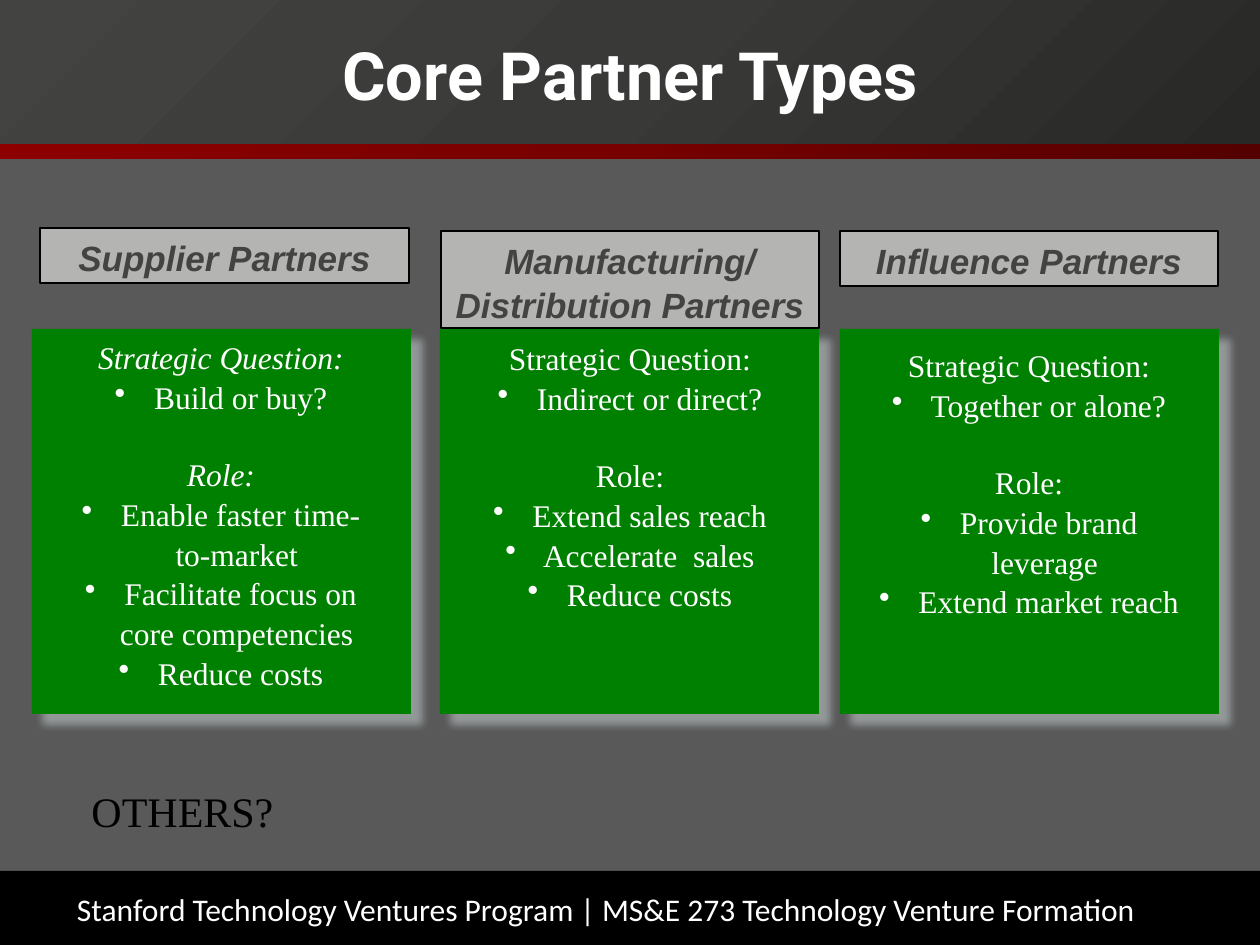
from lxml.etree import SubElement as Sub
from pptx import Presentation
from pptx.dml.color import RGBColor as Rgb
from pptx.enum.shapes import MSO_SHAPE as Shp
from pptx.enum.text import MSO_ANCHOR as Anc, PP_ALIGN as Al
from pptx.oxml.ns import qn
from pptx.util import Pt

SCALE = 914400 / 126  # EMU in one px
HUES = {
    "back": "595959", "black": "000000", "white": "FFFFFF", "green": "008000",
    "grey": "B4B4B3", "dark": "434342", "shade": "CDD7D9",
}
RED = ("550000", "790000", "900000")
COAL = ("282827", "393938", "434342")
FORMS = {
    "title": {"name": "Roboto", "size": Pt(38), "bold": True, "hue": "white"},
    "head": {"name": "Arial", "size": Pt(20), "bold": True, "italic": True,
             "hue": "dark"},
    "body": {"name": "Times New Roman", "size": Pt(18), "hue": "white"},
    "lead": {"name": "Times New Roman", "size": Pt(18), "italic": True,
             "hue": "white"},
    "note": {"name": "Times New Roman", "size": Pt(24), "hue": "black"},
    "foot": {"name": "Calibri", "size": Pt(18), "hue": "white"},
}


def px(num):
    return round(num * SCALE)


def tint(key):
    return Rgb.from_string(HUES[key])


class Deck:
    def __init__(self, wide, high):
        self.prs = Presentation()
        self.prs.slide_width, self.prs.slide_height = px(wide), px(high)
        self.slide = self.prs.slides.add_slide(self.prs.slide_layouts[6])
        fill = self.slide.background.fill
        fill.solid()
        fill.fore_color.rgb = tint("back")

    def rect(self, box, hue=None, line=None):
        shape = self.slide.shapes.add_shape(Shp.RECTANGLE, *map(px, box))
        shape.shadow.inherit = False
        if hue:
            shape.fill.solid()
            shape.fill.fore_color.rgb = tint(hue)
        if line:
            shape.line.color.rgb = tint(line)
            shape.line.width = Pt(0.75)
        else:
            shape.line.fill.background()
        return shape

    def blend(self, box, hues, ringed=False):
        shape = self.rect(box)
        shape.fill.gradient()
        shape.fill.gradient_angle = 315
        props = shape._element.spPr
        for key in ("flipH", "flipV"):
            props.find(qn("a:xfrm")).set(key, "1")
        grad = props.find(qn("a:gradFill"))
        stops = grad.find(qn("a:gsLst"))
        for old in list(stops):
            stops.remove(old)
        for pos, hue in zip((0, 50000, 100000), hues):
            stop = Sub(stops, qn("a:gs"), pos=str(pos))
            Sub(stop, qn("a:srgbClr"), val=hue)
        if ringed:
            ring = Sub(grad, qn("a:path"))
            ring.set("path", "circle")
            Sub(ring, qn("a:fillToRect"), l="100000", t="100000")
            grad.replace(grad.find(qn("a:lin")), ring)

    def shade(self, shape):
        effects = shape._element.spPr.find(qn("a:effectLst"))
        drop = Sub(effects, qn("a:outerShdw"), blurRad=str(Pt(5)),
                   dist=str(Pt(8.5)), dir="2700000", algn="tl",
                   rotWithShape="0")
        hue = Sub(drop, qn("a:srgbClr"), val=HUES["shade"])
        Sub(hue, qn("a:alpha"), val="50000")

    def text(self, box):
        return self.slide.shapes.add_textbox(*map(px, box))

    def put(self, shape, rows, anchor=Anc.TOP, align=Al.CENTER, wrap=True):
        """Each row is (words, form, bullet, points before)."""
        frame = shape.text_frame
        frame.word_wrap = wrap
        frame.vertical_anchor = anchor
        for num, (words, form, dot, gap) in enumerate(rows):
            para = frame.add_paragraph() if num else frame.paragraphs[0]
            para.alignment = align
            para.line_spacing = 1.05
            if gap:
                para.space_before = Pt(gap)
            if dot:
                props = para._p.get_or_add_pPr()
                props.set("marL", "228600")
                props.set("indent", "-228600")
                Sub(props, qn("a:buChar"), char="•")
            run = para.add_run()
            run.text = words
            for key, val in FORMS[form].items():
                if key == "hue":
                    run.font.color.rgb = tint(val)
                else:
                    setattr(run.font, key, val)

    def label(self, box, lines):
        shape = self.rect(box, "grey", "black")
        self.put(shape, [(line, "head", False, 0) for line in lines])

    def card(self, shape, asks, roles, lead):
        rows = []
        for name, items, gap in (("Strategic Question:", asks, 0),
                                 ("Role:", roles, 21.6)):
            rows.append((name, lead, False, gap))
            rows += [(" " + item, "body", True, 0) for item in items]
        self.put(shape, rows)


def main():
    deck = Deck(1260, 945)

    # Footer
    foot = deck.rect((0, 871, 1260, 74), "black")
    foot.text_frame.margin_left = px(77)
    deck.put(foot, [("Stanford Technology Ventures Program | "
                     "MS&E 273 Technology Venture Formation",
                     "foot", False, 0)], Anc.MIDDLE, Al.LEFT)

    # Title band
    deck.blend((0, 58, 1260, 101), RED, True)
    deck.blend((0, 0, 1260, 144), COAL)
    deck.put(deck.text((32, 4, 1197, 136)),
             [("Core Partner Types", "title", False, 0)], Anc.MIDDLE)

    # Green panels
    for left in (32, 440, 840):
        deck.shade(deck.rect((left, 329, 379, 385), "green"))

    # Panel texts
    deck.card(deck.text((53, 330, 336, 360)), ["Build or buy?"],
              ["Enable faster time-to-market",
               "Facilitate focus on core competencies", "Reduce costs"],
              "lead")
    deck.card(deck.text((462, 331, 336, 280)), ["Indirect or direct?"],
              ["Extend sales reach", "Accelerate  sales", "Reduce costs"],
              "body")
    deck.card(deck.rect((861, 338, 336, 357), "green"),
              ["Together or alone?"],
              ["Provide brand leverage", "Extend market reach"], "body")

    # Panel headings
    deck.label((40, 228, 369, 55), ["Supplier Partners"])
    deck.label((441, 231, 378, 97),
               ["Manufacturing/", "Distribution Partners"])
    deck.label((840, 231, 378, 55), ["Influence Partners"])

    # Closing question
    deck.put(deck.text((78, 777, 209, 64)),
             [("OTHERS?", "note", False, 0)], wrap=False)

    deck.prs.save("out.pptx")


if __name__ == "__main__":
    main()
